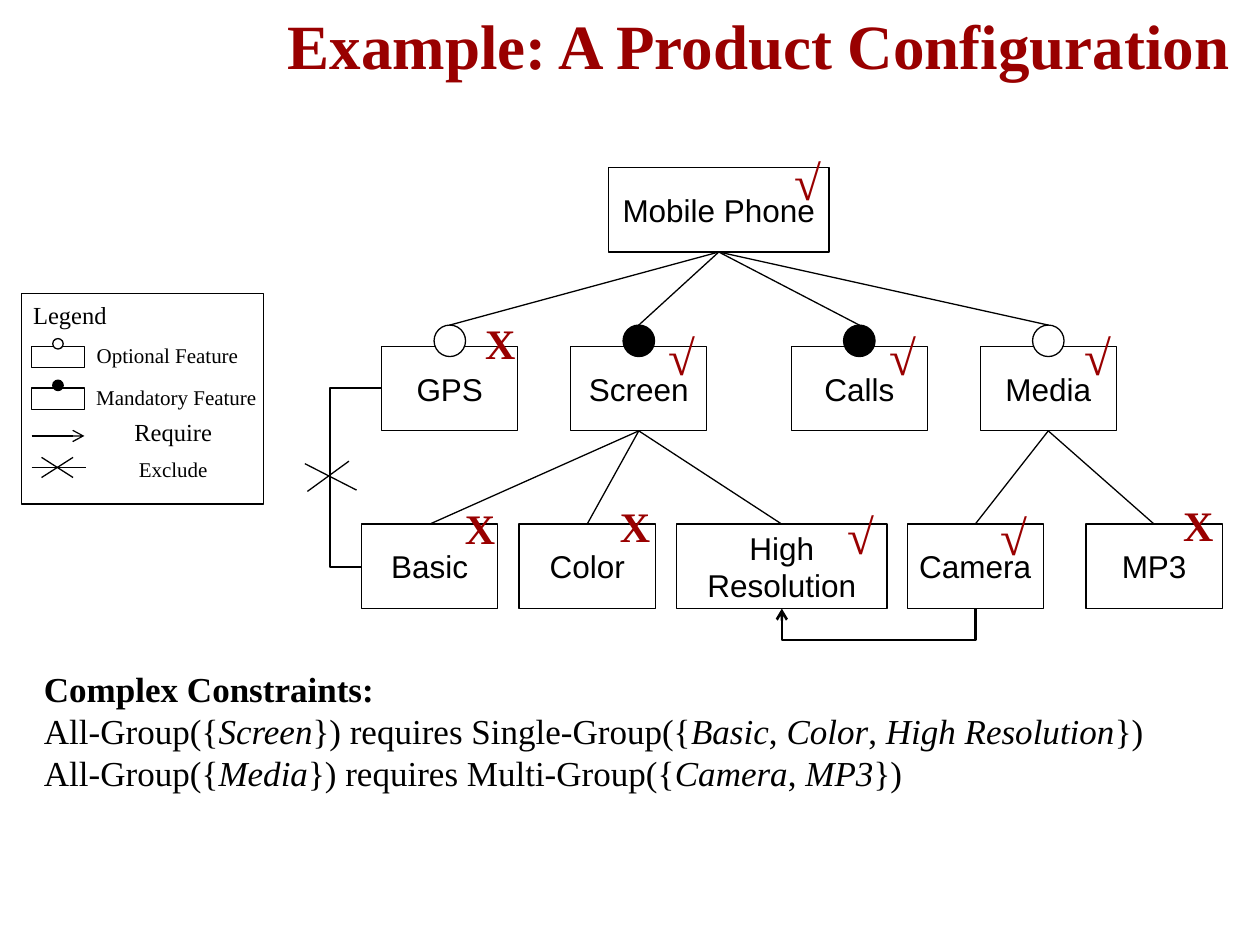
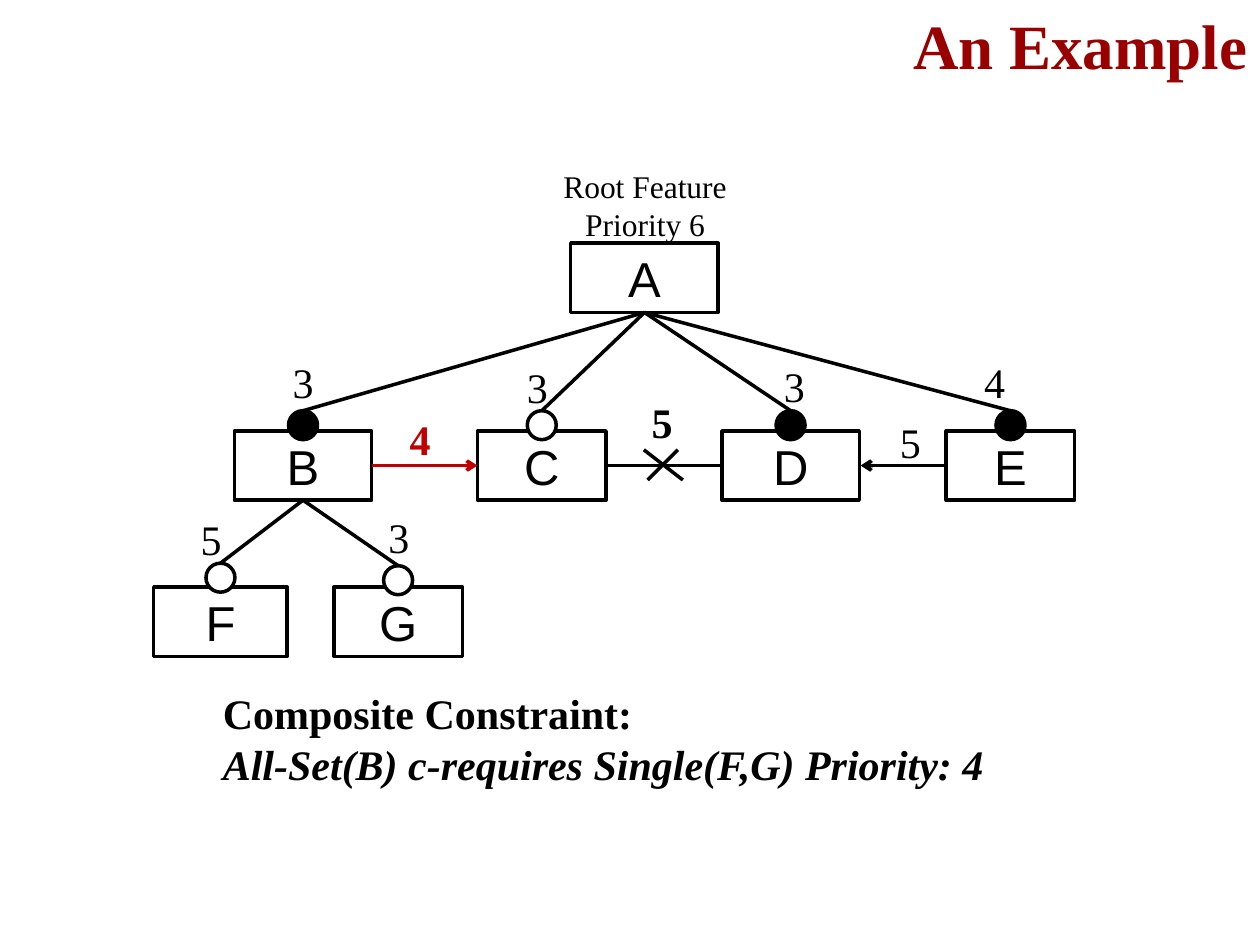
from dataclasses import dataclass
from lxml.etree import SubElement
from pptx import Presentation
from pptx.dml.color import RGBColor
from pptx.enum.shapes import MSO_CONNECTOR, MSO_SHAPE
from pptx.enum.text import MSO_ANCHOR, MSO_AUTO_SIZE, PP_ALIGN
from pptx.oxml.ns import qn
from pptx.util import Inches, Pt

SLIDE_WIDTH, SLIDE_HEIGHT = Inches(10), Inches(7.5)
COLUMNS, ROWS = 100, 75
BLACK = RGBColor(0x00, 0x00, 0x00)
WHITE = RGBColor(0xFF, 0xFF, 0xFF)
DARK_RED = RGBColor(0x99, 0x00, 0x00)
RED = RGBColor(0xC0, 0x00, 0x00)
SERIF, SANS = "Times New Roman", "Arial"
MANDATORY, OPTIONAL = BLACK, WHITE


@dataclass
class Feature:
    label: str
    left: float
    top: float
    width: float = 10.8
    height: float = 6.7
    kind: RGBColor = None
    dot: float = 2.5
    rise: float = 1.7

    @property
    def center(self):
        return self.left + self.width / 2

    @property
    def entry(self):
        return self.center, self.top - (self.rise if self.kind is not None else 0)

    @property
    def exit(self):
        return self.center, self.top + self.height


def across(columns):
    return round(SLIDE_WIDTH * columns / COLUMNS)


def down(rows):
    return round(SLIDE_HEIGHT * rows / ROWS)


def area(left, top, width, height):
    return across(left), down(top), across(width), down(height)


def write(frame, content, size=18, font=SERIF, color=BLACK, bold=False, italic=False,
          align=PP_ALIGN.CENTER, anchor=MSO_ANCHOR.TOP, wrap=True, inset=None, bold_first=False):
    frame.auto_size = MSO_AUTO_SIZE.NONE
    frame.word_wrap = wrap
    frame.vertical_anchor = anchor
    if inset is not None:
        frame.margin_left = frame.margin_right = across(inset)
        frame.margin_top = frame.margin_bottom = down(inset)
    for row, sentence in enumerate(content.split("\n")):
        paragraph = frame.paragraphs[0] if row == 0 else frame.add_paragraph()
        paragraph.alignment = align
        for index, words in enumerate(sentence.split("*")):
            if not words:
                continue
            run = paragraph.add_run()
            run.text = words
            run.font.name, run.font.size = font, Pt(size)
            run.font.color.rgb = color
            run.font.bold = bold or (bold_first and row == 0)
            run.font.italic = italic or index % 2 == 1


def add_text(slide, content, place, **style):
    write(slide.shapes.add_textbox(*area(*place)).text_frame, content, **style)


def add_title(slide, content, left, right_gap=1):
    title = slide.shapes.title
    title.left, title.top, title.width, title.height = area(left, 0, COLUMNS - left, 7)
    write(title.text_frame, content, size=36, color=DARK_RED, bold=True,
          align=PP_ALIGN.RIGHT, anchor=MSO_ANCHOR.BOTTOM)
    title.text_frame.margin_right = across(right_gap)
    title.text_frame.margin_bottom = down(0.5)


def add_outline(slide, preset, place, fill=None, weight=0.75):
    outline = slide.shapes.add_shape(preset, *area(*place))
    outline.shadow.inherit = False
    if fill is None:
        outline.fill.background()
    else:
        outline.fill.solid()
        outline.fill.fore_color.rgb = fill
    outline.line.color.rgb = BLACK
    outline.line.width = Pt(weight)
    return outline


def add_feature(slide, feature, weight=0.75, **style):
    box = add_outline(slide, MSO_SHAPE.RECTANGLE,
                      (feature.left, feature.top, feature.width, feature.height), weight=weight)
    if feature.label:
        write(box.text_frame, feature.label, font=SANS, anchor=MSO_ANCHOR.MIDDLE, **style)
    if feature.kind is not None:
        add_outline(slide, MSO_SHAPE.OVAL,
                    (feature.center - feature.dot / 2, feature.top - feature.rise,
                     feature.dot, feature.dot), feature.kind, weight)


def style_line(line, color, weight, arrow):
    line.color.rgb = color
    line.width = Pt(weight)
    if arrow:
        SubElement(line._get_or_add_ln(), qn("a:tailEnd"), type="arrow")


def add_line(slide, start, end, weight=0.75, color=BLACK, arrow=False):
    link = slide.shapes.add_connector(MSO_CONNECTOR.STRAIGHT, across(start[0]), down(start[1]),
                                      across(end[0]), down(end[1]))
    style_line(link.line, color, weight, arrow)
    SubElement(link._element.spPr, qn("a:effectLst"))


def add_route(slide, corners, weight=1.5, arrow=False):
    points = [(across(x), down(y)) for x, y in corners]
    builder = slide.shapes.build_freeform(*points[0])
    builder.add_line_segments(points[1:], close=False)
    route = builder.convert_to_shape()
    route.shadow.inherit = False
    route.fill.background()
    style_line(route.line, BLACK, weight, arrow)


def add_tree(slide, features, children, weight=0.75, **style):
    for feature in features.values():
        add_feature(slide, feature, weight, **style)
    for parent, names in children.items():
        for name in names:
            add_line(slide, features[parent].exit, features[name].entry, weight)


def add_cross(slide, falling, rising, weight=0.75):
    for start, end in (falling, rising):
        add_line(slide, start, end, weight)


def add_legend(slide):
    add_outline(slide, MSO_SHAPE.RECTANGLE, (1.7, 23.3, 19.2, 16.7))
    for top, kind in ((27.5, OPTIONAL), (30.8, MANDATORY)):
        add_feature(slide, Feature("", 2.5, top, 4.2, 1.7, kind, dot=0.83, rise=0.63))
    add_line(slide, (2.5, 34.6), (6.7, 34.6), arrow=True)
    add_line(slide, (2.5, 37.1), (6.8, 37.1))
    add_cross(slide, ((3.3, 36.3), (5.8, 37.9)), ((3.3, 37.9), (5.8, 36.3)))
    for label, left, top, width, size in (
            ("Legend", 1.4, 23.3, 8.3, 14),
            ("Optional Feature", 5.8, 26.7, 15, 12),
            ("Mandatory Feature", 6.5, 30, 15, 12),
            ("Require", 7.5, 32.6, 12.5, 14),
            ("Exclude", 7.5, 35.7, 12.5, 12)):
        add_text(slide, label, (left, top, width, 3.2), size=size)


def build_configuration(slide):
    add_title(slide, "Example: A Product Configuration", 16.9, right_gap=2.4)
    second, third = 27.5, 41.6
    features = {feature.label.split("\n")[0]: feature for feature in (
        Feature("Mobile Phone", 48.3, 13.3, 17.5),
        Feature("GPS", 30.3, second, kind=OPTIONAL),
        Feature("Screen", 45.3, second, kind=MANDATORY),
        Feature("Calls", 62.8, second, kind=MANDATORY),
        Feature("Media", 77.8, second, kind=OPTIONAL),
        Feature("Basic", 28.7, third),
        Feature("Color", 41.2, third),
        Feature("High\nResolution", 53.7, third, 16.7),
        Feature("Camera", 72, third),
        Feature("MP3", 86.2, third))}
    add_tree(slide, features, {"Mobile Phone": ("GPS", "Screen", "Calls", "Media"),
                               "Screen": ("Basic", "Color", "High"),
                               "Media": ("Camera", "MP3")}, size=18, wrap=False)

    add_route(slide, [(28.7, 45), (26.2, 45), (26.2, 30.8), (30.3, 30.8)])
    add_cross(slide, ((24.2, 36.8), (28.3, 38.9)), ((24.4, 39), (27.7, 36.6)))
    (camera, bottom), (resolution, _) = features["Camera"].exit, features["High"].exit
    add_route(slide, [(camera, bottom), (camera, bottom + 2.5),
                      (resolution, bottom + 2.5), (resolution, bottom)], arrow=True)
    add_legend(slide)

    marks = {"√": (28, 9.7, ((66.8, 25.7), (49.3, 25.7), (59.3, 11.8),
                             (63.5, 39.9), (75.6, 40), (82.3, 25.7))),
             "X": (24, 5.8, ((92.2, 39.4), (35.2, 39.7), (36.8, 25), (47.5, 39.5)))}
    for mark, (size, width, places) in marks.items():
        for left, top in places:
            add_text(slide, mark, (left, top, width, 5.1), size=size,
                     color=DARK_RED, bold=True, inset=0.2)

    add_text(slide, "Complex Constraints:\n"
             "All-Group({*Screen*}) requires Single-Group({*Basic*, *Color*, *High Resolution*})\n"
             "All-Group({*Media*}) requires Multi-Group({*Camera*, *MP3*})",
             (2.5, 52.5, 97.5, 14.5), size=20, align=PP_ALIGN.LEFT, bold_first=True)


def build_priorities(slide):
    add_title(slide, "An Example", 33.8)
    height, dot, second, third, weight = 5.5, 2.3, 34.2, 46.6, 2
    features = {feature.label: feature for feature in (
        Feature("A", 45.3, 19.3, 11.7, height),
        Feature("B", 18.6, second, 10.9, height, MANDATORY, dot, 1.6),
        Feature("C", 37.9, second, 10.2, height, OPTIONAL, dot, 1.6),
        Feature("D", 57.3, second, 10.9, height, MANDATORY, dot, 1.6),
        Feature("E", 75.1, second, 10.2, height, MANDATORY, dot, 1.6),
        Feature("F", 12.2, third, 10.6, height, OPTIONAL, dot, 1.9),
        Feature("G", 26.5, third, 10.2, height, OPTIONAL, dot, 1.7))}
    add_tree(slide, features, {"A": "BCDE", "B": "FG"}, weight, size=28)

    middle = second + height / 2
    add_line(slide, (29.5, middle), (37.9, middle), weight, RED, arrow=True)
    add_line(slide, (75.1, middle), (68.3, middle), weight, arrow=True)
    add_line(slide, (48.1, middle), (57.3, middle), weight)
    add_cross(slide, ((51.1, 35.7), (54.2, 38.1)), ((51.4, 38.1), (53.8, 35.7)), weight)

    add_text(slide, "Root Feature\nPriority 6", (43, 12.8, 16.4, 7.1))
    for priority, left, top, color, bold in (
            ("3", 21.7, 27.8, BLACK, False), ("3", 40.3, 28.2, BLACK, False),
            ("3", 60.7, 28.1, BLACK, False), ("4", 76.6, 27.8, BLACK, False),
            ("4", 31, 32.3, RED, True), ("5", 50.2, 31, BLACK, True),
            ("5", 69.9, 32.6, BLACK, False), ("5", 14.4, 40.3, BLACK, False),
            ("3", 29.3, 40.1, BLACK, False)):
        add_text(slide, priority, (left, top, 4.7, 5), size=24, color=color, bold=bold)
    add_text(slide, "Composite Constraint:\n*All-Set(B) c-requires Single(F,G) Priority: 4*",
             (16.7, 54.1, 67.5, 9.1), size=24, bold=True, align=PP_ALIGN.LEFT)


def main():
    deck = Presentation()
    deck.slide_width, deck.slide_height = SLIDE_WIDTH, SLIDE_HEIGHT
    for build in (build_configuration, build_priorities):
        build(deck.slides.add_slide(deck.slide_layouts[5]))
    deck.save("out.pptx")


if __name__ == "__main__":
    main()
